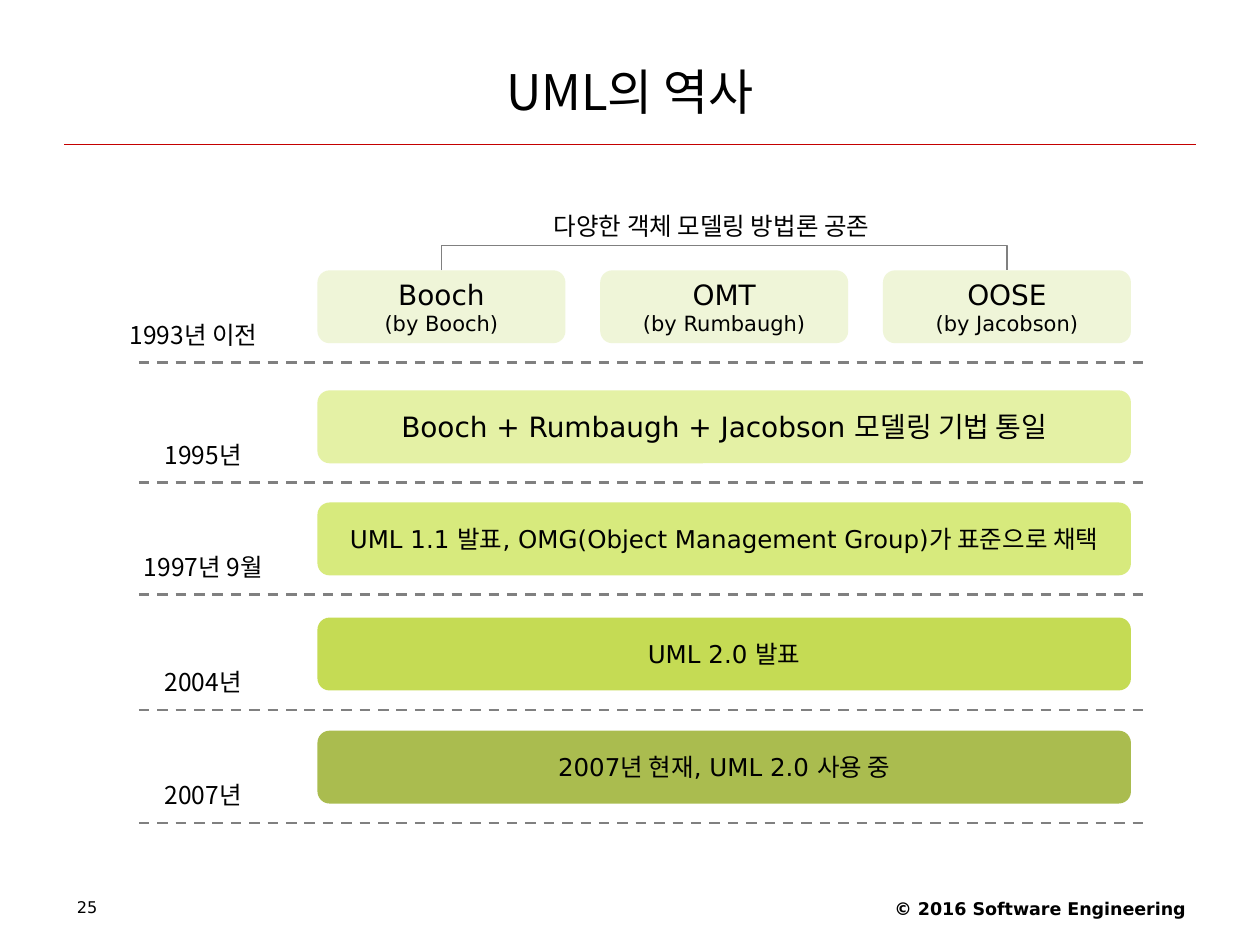
from lxml import etree
from pptx import Presentation
from pptx import util as u
from pptx.dml.color import RGBColor
from pptx.enum import dml, shapes, text
from pptx.oxml import ns

LATIN, KOREAN = "DejaVu Sans", "Noto Sans CJK KR"
GREY = "808080"


def color(hex_string):
    return RGBColor.from_string(hex_string)


def write(frame, lines, font=LATIN, sizes=(14,), bold=False,
          align=text.PP_ALIGN.CENTER, spacing=None):
    """Fill a text frame, one paragraph per line, with one size for each."""
    for index, (line, size) in enumerate(zip(lines, sizes)):
        paragraph = frame.paragraphs[0] if index == 0 else frame.add_paragraph()
        paragraph.alignment = align
        if spacing:
            paragraph.line_spacing = spacing
        run = paragraph.add_run()
        run.text = line
        run.font.name = font
        run.font.size = u.Pt(size)
        run.font.bold = bold
        run.font.color.rgb = color("000000")
        east_asian = etree.SubElement(run.font._element, ns.qn("a:ea"))
        east_asian.set("typeface", KOREAN)


class SlideBuilder:
    def __init__(self, slide):
        self.slide = slide

    def title(self, line, left, top, width, height):
        title = self.slide.shapes.title
        title.left, title.top = u.Cm(left), u.Cm(top)
        title.width, title.height = u.Cm(width), u.Cm(height)
        title.text_frame.vertical_anchor = text.MSO_ANCHOR.MIDDLE
        write(title.text_frame, [line], font=KOREAN, sizes=[28])

    def label(self, line, left, top, width, height=0.9, inset=0.3, **style):
        box = self.slide.shapes.add_textbox(
            u.Cm(left), u.Cm(top), u.Cm(width), u.Cm(height))
        frame = box.text_frame
        frame.word_wrap = True
        frame.margin_left = frame.margin_right = u.Cm(inset)
        frame.margin_top = frame.margin_bottom = u.Cm(inset / 2)
        write(frame, [line], **style)

    def bar(self, lines, left, top, width, height, fill, **style):
        shape = self.slide.shapes.add_shape(
            shapes.MSO_SHAPE.ROUNDED_RECTANGLE,
            u.Cm(left), u.Cm(top), u.Cm(width), u.Cm(height))
        shape.shadow.inherit = False
        shape.line.fill.background()
        shape.fill.solid()
        shape.fill.fore_color.rgb = color(fill)
        # Let the background shine through
        rgb = shape._element.spPr.find(".//" + ns.qn("a:srgbClr"))
        etree.SubElement(rgb, ns.qn("a:alpha")).set("val", "77000")
        frame = shape.text_frame
        frame.word_wrap = False
        frame.vertical_anchor = text.MSO_ANCHOR.MIDDLE
        write(frame, lines, **style)

    def rule(self, left, right, y, stroke, width, dash=None):
        line = self.slide.shapes.add_connector(
            shapes.MSO_CONNECTOR.STRAIGHT, u.Cm(left), u.Cm(y), u.Cm(right), u.Cm(y))
        line.line.color.rgb = color(stroke)
        line.line.width = u.Pt(width)
        line.line.dash_style = dash
        etree.SubElement(line._element.spPr, ns.qn("a:effectLst"))

    def bracket(self, left, right, top, bottom):
        builder = self.slide.shapes.build_freeform(u.Cm(left), u.Cm(bottom))
        builder.add_line_segments(
            [(u.Cm(x), u.Cm(y)) for x, y in
             ((left, top), (right, top), (right, bottom))], close=False)
        shape = builder.convert_to_shape()
        shape.shadow.inherit = False
        shape.fill.background()
        shape.line.color.rgb = color(GREY)
        shape.line.width = u.Pt(0.75)


def main():
    presentation = Presentation()
    presentation.slide_width, presentation.slide_height = u.Cm(25.4), u.Cm(19.05)
    title_only = presentation.slide_layouts[5]
    page = SlideBuilder(presentation.slides.add_slide(title_only))

    # Title and footer
    page.title("UML의 역사", 1.27, 0.76, 22.86, 2.16)
    page.rule(1.3, 24.1, 2.92, "C40000", 0.75)
    page.label("© 2016 Software Engineering", 16.1, 17.98, 8.05, 0.74, inset=0.25,
               sizes=[10], bold=True, align=text.PP_ALIGN.RIGHT)
    page.label("25", 1.3, 18.01, 5.92, 0.71, inset=0.25,
               sizes=[9.2], align=text.PP_ALIGN.LEFT, spacing=0.9)

    # Early methods side by side
    bar_left, bar_width, bar_height = 6.4, 16.4, 1.47
    method_width, method_pitch, method_top = 5.0, 5.7, 5.45
    methods = [("Booch", "(by Booch)"), ("OMT", "(by Rumbaugh)"),
               ("OOSE", "(by Jacobson)")]
    for index, lines in enumerate(methods):
        page.bar(lines, bar_left + index * method_pitch, method_top,
                 method_width, bar_height, "EBF3CD", sizes=(16, 12))

    # Bracket over the methods
    first_middle = bar_left + method_width / 2
    page.label("다양한 객체 모델링 방법론 공존", 10.35, 4.11, 8, font=KOREAN)
    page.bracket(first_middle, first_middle + 2 * method_pitch, 4.95, method_top)

    # Timeline bars: top, text, size, fill
    bars = [
        (7.87, "Booch + Rumbaugh + Jacobson 모델링 기법 통일", 16, "DDED8B"),
        (10.13, "UML 1.1 발표, OMG(Object Management Group)가 표준으로 채택", 14, "CCE456"),
        (12.45, "UML 2.0 발표", 14, "B4D121"),
        (14.73, "2007년 현재, UML 2.0 사용 중", 14, "91A91B"),
    ]
    for top, line, size, fill in bars:
        page.bar([line], bar_left, top, bar_width, bar_height, fill, sizes=[size])

    # Dates and dashed rules, one for each row
    tops = [method_top] + [bar[0] for bar in bars]
    dates = ["1993년 이전", "1995년", "1997년 9월", "2004년", "2007년"]
    for top, date in zip(tops, dates):
        date_left = 2.15 if top == method_top - 0 and False else 2.35
        if top == method_top:
            date_left = 2.15
        page.label(date, date_left, top + 0.85, 3.5, font=KOREAN)
        page.rule(2.8, 23.2, top + 1.86, GREY, 1.5, dml.MSO_LINE.DASH)

    presentation.save("out.pptx")


if __name__ == "__main__":
    main()
